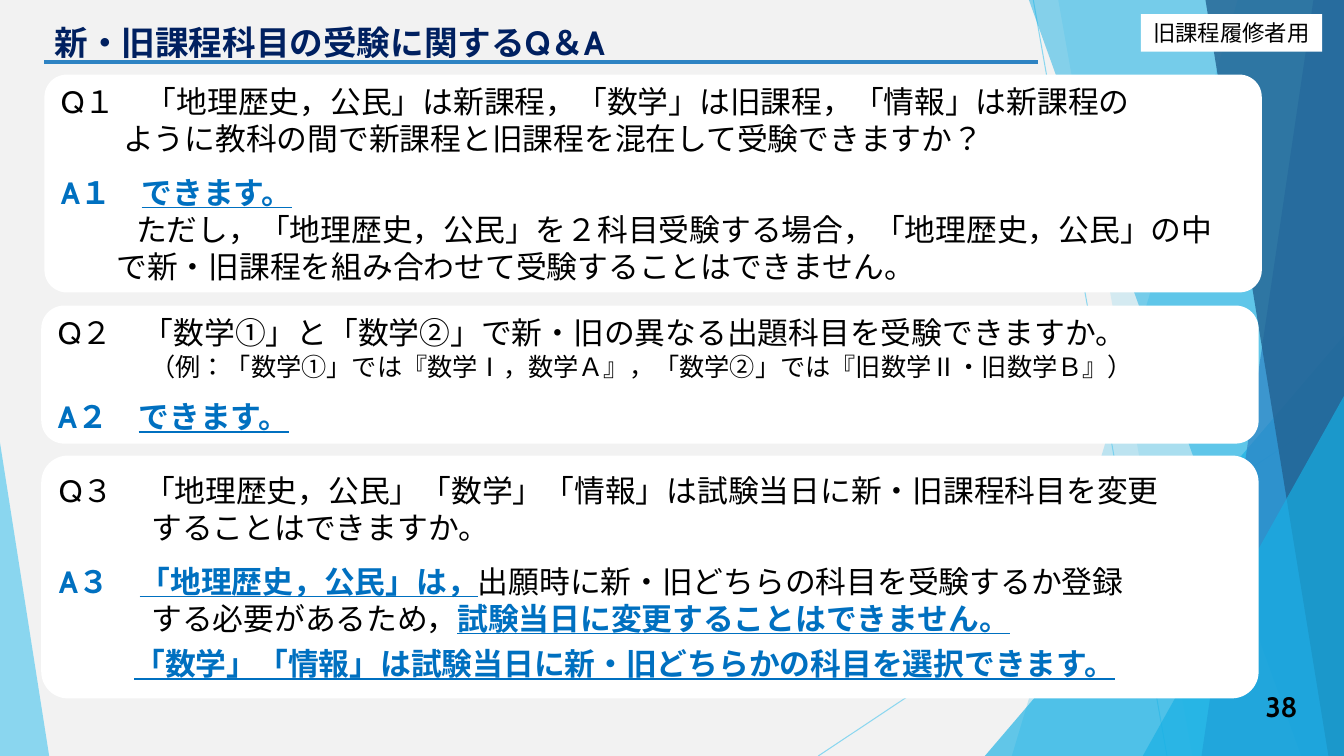
from dataclasses import dataclass

from lxml import etree
from pptx import Presentation
from pptx.dml.color import RGBColor
from pptx.enum.lang import MSO_LANGUAGE_ID
from pptx.enum.shapes import MSO_CONNECTOR, MSO_SHAPE
from pptx.enum.text import MSO_ANCHOR, MSO_AUTO_SIZE, PP_ALIGN
from pptx.oxml.ns import qn
from pptx.util import Cm, Pt

STRAIGHT = MSO_CONNECTOR.STRAIGHT
RECTANGLE, ROUNDED = MSO_SHAPE.RECTANGLE, MSO_SHAPE.ROUNDED_RECTANGLE
TRIANGLE = MSO_SHAPE.ISOSCELES_TRIANGLE
LEFT, CENTER, RIGHT = PP_ALIGN.LEFT, PP_ALIGN.CENTER, PP_ALIGN.RIGHT
TOP, MIDDLE = MSO_ANCHOR.TOP, MSO_ANCHOR.MIDDLE
JAPANESE = MSO_LANGUAGE_ID.JAPANESE

FONT = "Cabin"
PALE = RGBColor(0xF2, 0xF2, 0xF2)
WHITE = RGBColor(0xFF, 0xFF, 0xFF)
BLACK = RGBColor(0x00, 0x00, 0x00)
NAVY = RGBColor(0x00, 0x20, 0x60)
ANSWER_BLUE = RGBColor(0x00, 0x70, 0xC0)
SKY = RGBColor(0x5F, 0xCB, 0xEF)
CYAN = RGBColor(0x17, 0xB0, 0xE4)
BLUE = RGBColor(0x2E, 0x83, 0xC3)
DEEP_BLUE = RGBColor(0x22, 0x62, 0x92)

WIDTH, HEIGHT = 33.87, 19.05  # centimetres, like every length below


@dataclass(frozen=True)
class Line:
    start: tuple[float, float]
    end: tuple[float, float]
    color: RGBColor
    weight: float
    opacity: int = 100


@dataclass(frozen=True)
class Facet:
    """Area between a slanted left edge and the right side of the slide."""
    top_x: float
    bottom_x: float
    color: RGBColor
    opacity: int


@dataclass(frozen=True)
class Corner:
    """Right-angled triangle standing on the bottom of the slide."""
    left: float
    top: float
    width: float
    apex: float
    color: RGBColor
    opacity: int


@dataclass(frozen=True)
class Span:
    text: str
    size: float = 22
    color: RGBColor = BLACK
    bold: bool = False
    underline: bool = False


@dataclass(frozen=True)
class Row:
    spans: tuple[Span, ...]
    indent: float = 0
    before: float = 0
    align: PP_ALIGN = LEFT


@dataclass(frozen=True)
class Card:
    left: float
    top: float
    height: float
    rounding: float
    rows: tuple[Row, ...]


def label(text: str) -> Span:
    return Span(text, color=ANSWER_BLUE, bold=True)


def key(text: str) -> Span:
    return Span(text, color=ANSWER_BLUE, bold=True, underline=True)


BACKDROP = (
    Line((26.04, 0), (29.41, HEIGHT), SKY, 0.75, 70),
    Line((WIDTH, 10.24), (20.62, HEIGHT), SKY, 0.75, 70),
    Facet(31.19, 25.5, SKY, 36),
    Facet(26.67, 30.05, SKY, 20),
    Corner(24.82, 8.46, 9.05, 1, CYAN, 66),
    Facet(25.93, 32.79, CYAN, 50),
    Facet(33.1, 30.28, BLUE, 70),
    Facet(30.38, 33.48, DEEP_BLUE, 80),
    Corner(28.8, 9.98, 5.07, 1, CYAN, 66),
    Corner(0, 11.15, 1.24, 0, SKY, 70),
    Line((1.12, 1.57), (26.16, 1.57), BLUE, 3),
)

CARD_WIDTH = 30.68
CARDS = (
    Card(1.12, 1.88, 5.49, 0.103, (
        Row((Span("Q１　「地理歴史，公民」は新課程，「数学」は旧課程，「情報」は新課程の"),)),
        Row((Span("ように教科の間で新課程と旧課程を混在して受験できますか？"),), indent=1.57),
        Row((label("A１　"), key("できます。")), before=12),
        Row((Span("ただし，「地理歴史，公民」を２科目受験する場合，「地理歴史，公民」の中"),), indent=1.9),
        Row((Span("で新・旧課程を組み合わせて受験することはできません。"),), indent=1.4),
    )),
    Card(1.04, 7.7, 3.48, 0.167, (
        Row((Span("Q２　「数学①」と「数学➁」で新・旧の異なる出題科目を受験できますか。"),)),
        Row((Span("（例：「数学①」では『数学Ⅰ，数学Ａ』，「数学➁」では『旧数学Ⅱ・旧数学Ｂ』）", 18),),
            indent=2.33),
        Row((label("A２　"), key("できます。")), before=12),
    )),
    Card(1.04, 11.48, 6.12, 0.11, (
        Row((Span("Q３　「地理歴史，公民」「数学」「情報」は試験当日に新・旧課程科目を変更"),)),
        Row((Span("することはできますか。"),), indent=2.33),
        Row((label("A３　"), key("「地理歴史，公民」は，"),
             Span("出願時に新・旧どちらの科目を受験するか登録")), before=12),
        Row((Span("する必要があるため，"), key("試験当日に変更することはできません。")), indent=2.33),
        Row((key("「数学」「情報」は試験当日に新・旧どちらかの科目を選択できます。"),),
            indent=1.9, before=6),
    )),
)


def set_opacity(properties, opacity: int) -> None:
    if opacity < 100:
        color = next(properties.iter(qn("a:srgbClr")))
        etree.SubElement(color, qn("a:alpha"), val=str(opacity * 1000))


def paint(shape, color: RGBColor, opacity: int = 100) -> None:
    shape.shadow.inherit = False
    shape.fill.solid()
    shape.fill.fore_color.rgb = color
    shape.line.fill.background()
    set_opacity(shape._element.spPr, opacity)


def write(shape, rows: tuple[Row, ...], anchor: MSO_ANCHOR = MIDDLE) -> None:
    frame = shape.text_frame
    frame.word_wrap = True
    frame.auto_size = MSO_AUTO_SIZE.NONE
    frame.vertical_anchor = anchor
    for index, row in enumerate(rows):
        paragraph = frame.add_paragraph() if index else frame.paragraphs[0]
        paragraph.alignment = row.align
        paragraph.line_spacing = 1.0
        paragraph.space_before = Pt(row.before)
        properties = paragraph._p.get_or_add_pPr()
        properties.set("marL", str(Cm(row.indent)))
        properties.set("indent", "0")
        for span in row.spans:
            run = paragraph.add_run()
            run.text = span.text
            font = run.font
            font.name, font.size = FONT, Pt(span.size)
            font.bold, font.underline = span.bold, span.underline
            font.color.rgb = span.color
            font.language_id = JAPANESE
            latin = run._r.rPr.find(qn("a:latin"))
            latin.addnext(etree.Element(qn("a:ea"), typeface=FONT))


def draw_backdrop(shapes, item: Line | Facet | Corner) -> None:
    if isinstance(item, Line):
        connector = shapes.add_connector(STRAIGHT, *map(Cm, item.start + item.end))
        connector.line.color.rgb = item.color
        connector.line.width = Pt(item.weight)
        properties = connector._element.spPr
        set_opacity(properties, item.opacity)
        etree.SubElement(properties, qn("a:effectLst"))
        return
    if isinstance(item, Facet):
        builder = shapes.build_freeform(Cm(item.top_x), 0)
        corners = ((WIDTH, 0), (WIDTH, HEIGHT), (item.bottom_x, HEIGHT))
        builder.add_line_segments([(Cm(x), Cm(y)) for x, y in corners], close=True)
        shape = builder.convert_to_shape()
    else:
        shape = shapes.add_shape(TRIANGLE, Cm(item.left), Cm(item.top),
                                 Cm(item.width), Cm(HEIGHT - item.top))
        shape.adjustments[0] = item.apex
    paint(shape, item.color, item.opacity)


def draw_card(shapes, card: Card) -> None:
    shape = shapes.add_shape(ROUNDED, Cm(card.left), Cm(card.top),
                             Cm(CARD_WIDTH), Cm(card.height))
    shape.adjustments[0] = card.rounding
    paint(shape, WHITE)
    write(shape, card.rows)


def main() -> None:
    presentation = Presentation()
    presentation.slide_width, presentation.slide_height = Cm(WIDTH), Cm(HEIGHT)
    slide = presentation.slides.add_slide(presentation.slide_layouts[5])
    shapes = slide.shapes
    slide.background.fill.solid()
    slide.background.fill.fore_color.rgb = PALE

    # Faceted backdrop and title rule
    for item in BACKDROP:
        draw_backdrop(shapes, item)

    # Title
    title = shapes.title
    title.left, title.top, title.width, title.height = Cm(1.12), Cm(0.43), Cm(23.88), Cm(1.57)
    write(title, (Row((Span("新・旧課程科目の受験に関するQ＆A", 24, NAVY, True),)),), TOP)

    # Audience tag and page number
    tag = shapes.add_shape(RECTANGLE, Cm(28.75), Cm(0.36), Cm(4.57), Cm(0.94))
    paint(tag, WHITE)
    write(tag, (Row((Span("旧課程履修者用", 16),), align=CENTER),))
    page_number = shapes.add_textbox(Cm(31.04), Cm(17.3), Cm(1.91), Cm(1.02))
    write(page_number, (Row((Span("38", 20, bold=True),), align=RIGHT),))

    # Question and answer cards
    for card in CARDS:
        draw_card(shapes, card)

    presentation.save("out.pptx")


if __name__ == "__main__":
    main()
